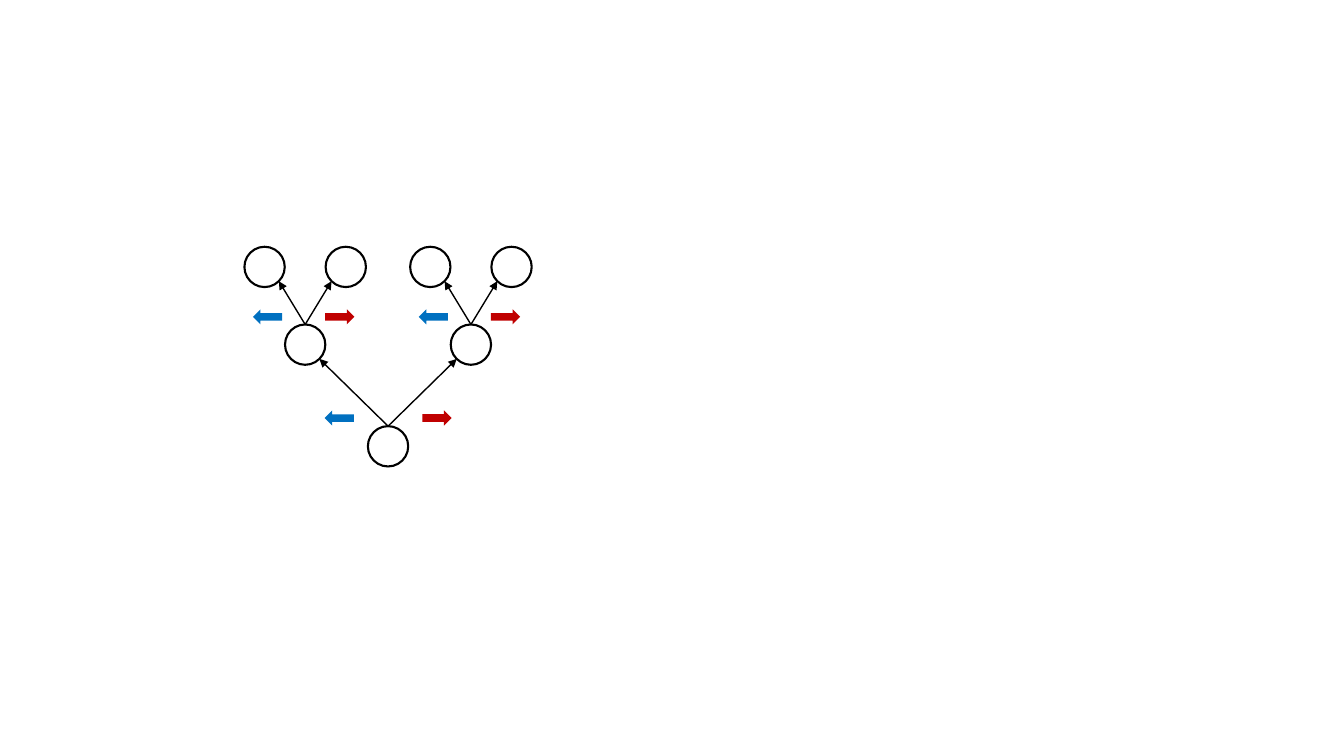
from math import sqrt

from lxml import etree
from pptx import Presentation
from pptx.dml.color import RGBColor
from pptx.enum.shapes import MSO_CONNECTOR, MSO_SHAPE
from pptx.oxml.ns import qn
from pptx.util import Pt

CIRCLE = MSO_SHAPE.OVAL
BLOCK_ARROW = MSO_SHAPE.RIGHT_ARROW
STRAIGHT = MSO_CONNECTOR.STRAIGHT

COLORS = {"node": "FFFFFF", "outline": "000000", "left": "0070C0", "right": "C00000"}
NODE_SIZE = 28.8
ARROW_WIDTH, ARROW_HEIGHT = 20.9, 10.8


def rgb(name):
    return RGBColor.from_string(COLORS[name])


def add_filled(slide, preset, left, top, width, height, fill):
    part = slide.shapes.add_shape(preset, Pt(left), Pt(top), Pt(width), Pt(height))
    part.shadow.inherit = False
    part.fill.solid()
    part.fill.fore_color.rgb = rgb(fill)
    return part


def add_node(slide, center_x, top):
    node = add_filled(slide, CIRCLE, center_x - NODE_SIZE / 2, top, NODE_SIZE, NODE_SIZE, "node")
    node.line.color.rgb = rgb("outline")
    node.line.width = Pt(1.5)


def add_branch(slide, start_x, start_y, end_x, end_y):
    branch = slide.shapes.add_connector(STRAIGHT, Pt(start_x), Pt(start_y), Pt(end_x), Pt(end_y))
    branch.line.color.rgb = rgb("outline")
    branch.line.width = Pt(1)
    etree.SubElement(branch.line._get_or_add_ln(), qn("a:tailEnd"), type="triangle")
    etree.SubElement(branch._element.spPr, qn("a:effectLst"))


def add_direction(slide, center_x, center_y, side):
    direction = add_filled(slide, BLOCK_ARROW, center_x - ARROW_WIDTH / 2,
                           center_y - ARROW_HEIGHT / 2, ARROW_WIDTH, ARROW_HEIGHT, side)
    direction.line.fill.background()
    if side == "left":
        direction.rotation = 180


def add_split(slide, parent_x, parent_top, child_top, spread, arrow_offsets, arrow_lift):
    diagonal = NODE_SIZE / 2 / sqrt(2)
    children = []
    for sign, side in ((-1, "left"), (1, "right")):
        child_x = parent_x + sign * spread
        add_node(slide, child_x, child_top)
        add_branch(slide, parent_x, parent_top, child_x - sign * diagonal,
                   child_top + NODE_SIZE / 2 + diagonal)
        add_direction(slide, parent_x + sign * arrow_offsets[side], parent_top - arrow_lift, side)
        children.append(child_x)
    return children


def add_tree(slide, left, top, width, height):
    root_x = left + width / 2
    root_top = top + height - NODE_SIZE
    middle_top = top + 55.5
    add_node(slide, root_x, root_top)
    middle_nodes = add_split(slide, root_x, root_top, middle_top, 59.2,
                             {"left": 34.9, "right": 34.9}, 5.8)
    for middle_x in middle_nodes:
        add_split(slide, middle_x, middle_top, top, 29,
                  {"left": 26.9, "right": 24.7}, 5.5)


def main():
    presentation = Presentation()
    presentation.slide_width, presentation.slide_height = Pt(960), Pt(540)
    slide = presentation.slides.add_slide(presentation.slide_layouts[6])
    add_tree(slide, left=174.6, top=176.3, width=205.2, height=156.9)
    presentation.save("out.pptx")


if __name__ == "__main__":
    main()
